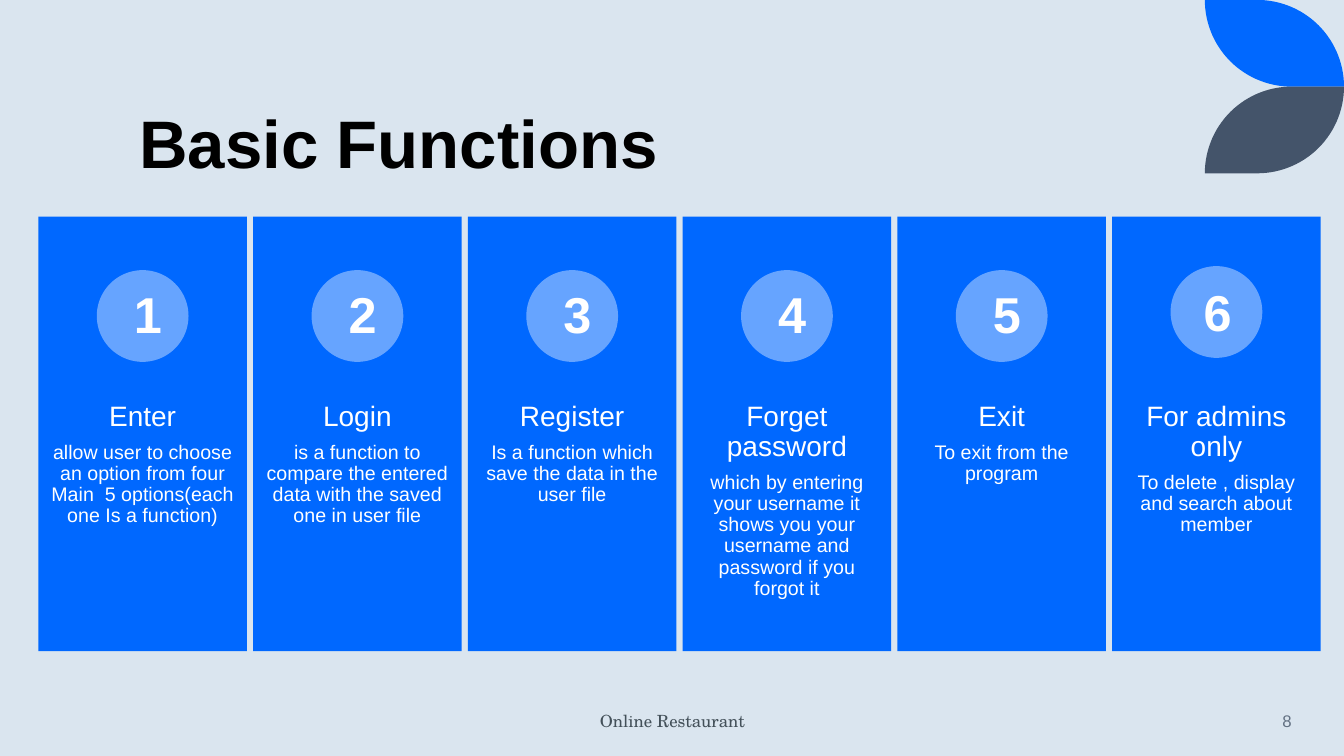
import math

import pptx
import pptx.dml.color
import pptx.enum.shapes
import pptx.enum.text
import pptx.util

Inches = pptx.util.Inches
Pt = pptx.util.Pt
ALIGN = pptx.enum.text.PP_ALIGN
ANCHOR = pptx.enum.text.MSO_ANCHOR
SHAPE = pptx.enum.shapes.MSO_SHAPE

BLUE = "0068FF"
LIGHT_BLUE = "66A4FF"
SLATE = "44546A"
WHITE = "FFFFFF"

COLUMN_LEFT, COLUMN_PITCH, COLUMN_WIDTH = 0.38, 2.13, 2.07
PETAL_LEFT, PETAL_RIGHT, PETAL_HEIGHT = 11.95, 13.33, 0.86

FUNCTIONS = [
    ("Enter", "allow user to choose an option from four Main  5 options(each one Is a function)"),
    ("Login", "is a function to compare the entered data with the saved one in user file"),
    ("Register", "Is a function which save the data in the user file"),
    ("Forget password", "which by entering your username it shows you your username and password if you forgot it"),
    ("Exit", "To exit from the program"),
    ("For admins only", "To delete , display and search about member"),
]


def color(value):
    return pptx.dml.color.RGBColor.from_string(value)


def paint(shape, fill):
    shape.shadow.inherit = False
    shape.fill.solid()
    shape.fill.fore_color.rgb = color(fill)
    shape.line.fill.background()


def add_block(slide, kind, left, top, width, height, fill):
    block = slide.shapes.add_shape(kind, Inches(left), Inches(top), Inches(width), Inches(height))
    paint(block, fill)


def style(para, size, ink, align=ALIGN.CENTER, bold=False, name="Arial"):
    para.alignment = align
    para.font.size = Pt(size)
    para.font.name = name
    para.font.bold = bold
    para.font.color.rgb = color(ink)


def add_text(slide, text, left, top, width, height, anchor=ANCHOR.TOP):
    box = slide.shapes.add_textbox(Inches(left), Inches(top), Inches(width), Inches(height))
    frame = box.text_frame
    frame.word_wrap = True
    frame.vertical_anchor = anchor
    frame.text = text
    return frame


def add_petal(slide, fill, flipped):
    def point(x, y):
        return Inches(x), Inches(2 * PETAL_HEIGHT - y if flipped else y)

    radius = PETAL_HEIGHT
    angles = [math.radians(step * 3) for step in range(31)]
    outer = [point(PETAL_RIGHT - radius + radius * math.sin(a), radius - radius * math.cos(a)) for a in angles]
    inner = [point(PETAL_LEFT + radius - radius * math.sin(a), radius * math.cos(a)) for a in angles]
    builder = slide.shapes.build_freeform(*point(PETAL_LEFT, 0))
    builder.add_line_segments(outer + inner, close=True)
    paint(builder.convert_to_shape(), fill)


def add_title(slide, text):
    title = slide.shapes.title
    title.left, title.top = Inches(1.28), Inches(0.42)
    title.width, title.height = Inches(10.69), Inches(1.45)
    frame = title.text_frame
    frame.text = text
    frame.auto_size = pptx.enum.text.MSO_AUTO_SIZE.NONE
    frame.vertical_anchor = ANCHOR.BOTTOM
    para = frame.paragraphs[0]
    style(para, 48, "000000", ALIGN.LEFT, bold=True)
    para.line_spacing = 0.9


def add_column(slide, number, heading, detail):
    left = COLUMN_LEFT + (number - 1) * COLUMN_PITCH
    lift = 0.04 if number == len(FUNCTIONS) else 0
    add_block(slide, SHAPE.RECTANGLE, left, 2.15, COLUMN_WIDTH, 4.31, BLUE)

    frame = add_text(slide, heading, left, 3.88, COLUMN_WIDTH, 1.72)
    frame.margin_left = frame.margin_right = Inches(0.11)
    frame.margin_top = frame.margin_bottom = Inches(0.11)
    frame.add_paragraph().text = detail
    for para, size in zip(frame.paragraphs, (20, 14)):
        style(para, size, WHITE)
        para.line_spacing = 0.9
    frame.paragraphs[0].space_after = Pt(7)

    add_block(slide, SHAPE.OVAL, left + 0.58, 2.68 - lift, 0.91, 0.91, LIGHT_BLUE)
    label = add_text(slide, str(number), left + 0.85 - lift, 2.76 - lift / 2, 0.38, 0.71)
    style(label.paragraphs[0], 36, WHITE, bold=True)


def main():
    deck = pptx.Presentation()
    deck.slide_width, deck.slide_height = Inches(13.33), Inches(7.5)
    slide = deck.slides.add_slide(deck.slide_layouts[5])
    slide.background.fill.solid()
    slide.background.fill.fore_color.rgb = color("DAE5EF")

    add_petal(slide, BLUE, flipped=False)
    add_petal(slide, SLATE, flipped=True)
    add_title(slide, "Basic Functions")
    for number, (heading, detail) in enumerate(FUNCTIONS, start=1):
        add_column(slide, number, heading, detail)

    footer = add_text(slide, "Online Restaurant", 4.42, 6.95, 4.5, 0.4, ANCHOR.MIDDLE)
    style(footer.paragraphs[0], 12, "435059", name="TeX Gyre Schola")
    page_number = add_text(slide, "8", 11.1, 6.95, 1.81, 0.4, ANCHOR.MIDDLE)
    style(page_number.paragraphs[0], 12, "637183", ALIGN.RIGHT)

    deck.save("out.pptx")


if __name__ == "__main__":
    main()
